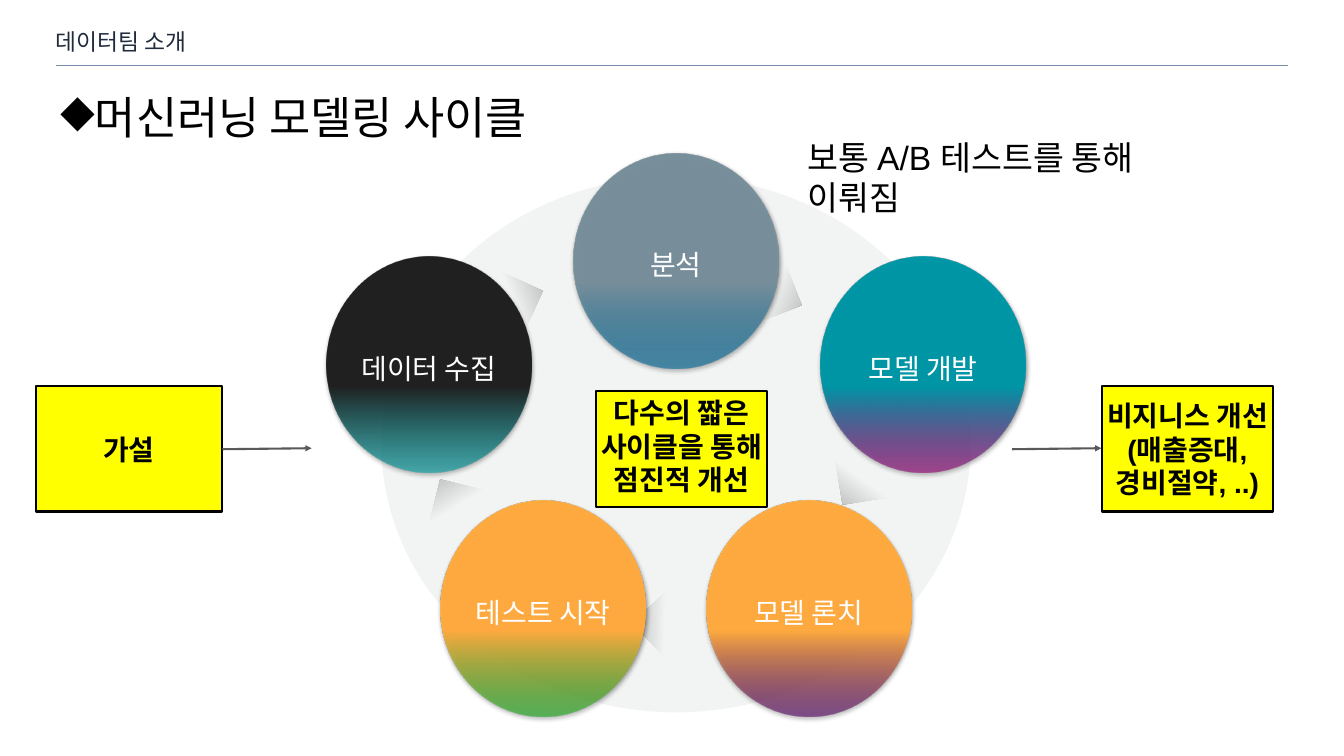
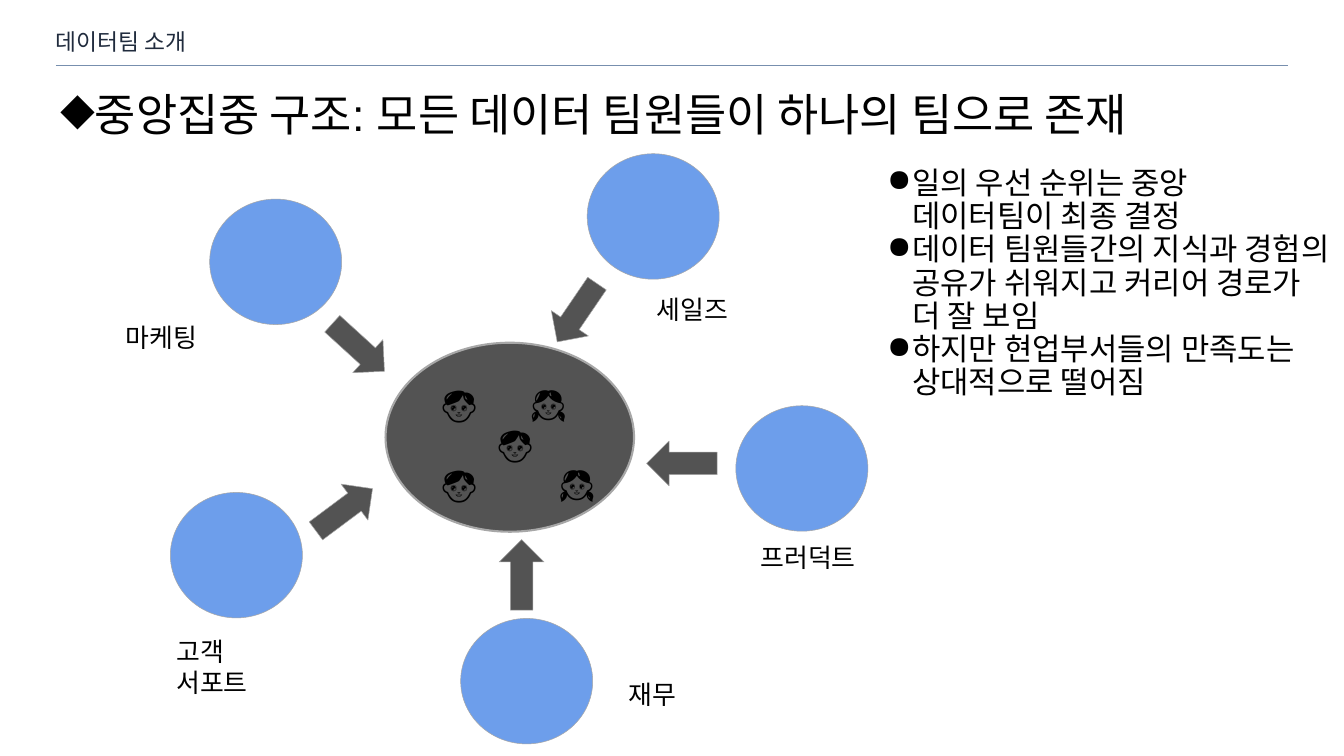
import pptx
import pptx.util
import pptx.dml.color
import pptx.enum.shapes
import pptx.enum.text
import pptx.oxml.ns
from lxml import etree

SHAPE = pptx.enum.shapes.MSO_SHAPE
ANCHOR = pptx.enum.text.MSO_ANCHOR
ALIGN = pptx.enum.text.PP_ALIGN
qn = pptx.oxml.ns.qn

# Grid of square cells: 80 columns by 45 rows
COLS, ROWS = 80, 45
CELL = pptx.util.Inches(1 / 3)
BLACK, WHITE, YELLOW, GREY = "000000", "FFFFFF", "FFFF00", "BFBFBF"
DARK, EDGE, BLUE = "535353", "A7A7A7", "6D9EEB"

prs = pptx.Presentation()
prs.slide_width, prs.slide_height = COLS * CELL, ROWS * CELL


def block(s, kind, at, fill=None, line=None, width=0.75, angle=0):
    """Add a text box, a line or a shape; fill is a hex string or gradient stops."""
    x, y, w, h = [round(v * CELL) for v in at]
    if kind == "text":
        return s.shapes.add_textbox(x, y, w, h)
    if kind == "line":
        sp = s.shapes.add_connector(
            pptx.enum.shapes.MSO_CONNECTOR.STRAIGHT, x, y, x + w, y + h)
    else:
        sp = s.shapes.add_shape(kind, x, y, w, h)
    spPr = sp._element.spPr
    if isinstance(fill, str):
        sp.fill.solid()
        sp.fill.fore_color.rgb = pptx.dml.color.RGBColor.from_string(fill)
    elif fill:
        sp.fill.gradient()
        sp.fill.gradient_angle = 360 - angle
        stops = next(spPr.iter(qn("a:gsLst")))
        stops.clear()
        for pos, colour, opacity in fill:
            gs = etree.SubElement(stops, qn("a:gs"), pos=str(pos * 1000))
            clr = etree.SubElement(gs, qn("a:srgbClr"), val=colour)
            etree.SubElement(clr, qn("a:alpha"), val=str(opacity * 1000))
    if line:
        sp.line.color.rgb = pptx.dml.color.RGBColor.from_string(line)
        sp.line.width = pptx.util.Pt(width)
    else:
        sp.line.fill.background()
    etree.SubElement(spPr, qn("a:effectLst"))
    return sp


def write(sp, text, size, colour=BLACK, font="Arial", bold=False, inset=0.3,
          anchor=ANCHOR.TOP, align=ALIGN.LEFT, spacing=None, bullet=None):
    tf = sp.text_frame
    tf.word_wrap = True
    tf.vertical_anchor = anchor
    tf.margin_left = tf.margin_right = round(inset * CELL)
    tf.margin_top = tf.margin_bottom = round(inset * CELL)
    tf.text = text
    for p in tf.paragraphs:
        p.alignment = align
        if spacing:
            p.line_spacing = spacing
        if bullet:
            pPr = p._p.get_or_add_pPr()
            pPr.set("marL", str(round(1.5 * CELL)))
            pPr.set("indent", str(round(-1.5 * CELL)))
            clr = etree.SubElement(pPr, qn("a:buClr"))
            etree.SubElement(clr, qn("a:srgbClr"), val=BLACK)
            etree.SubElement(pPr, qn("a:buChar"), char=bullet)
        for r in p.runs:
            r.font.name, r.font.size, r.font.bold = font, pptx.util.Pt(size), bold
            r.font.color.rgb = pptx.dml.color.RGBColor.from_string(colour)
    return tf


# Both slides: section name, rule and title
titles = [("머신러닝 모델링 사이클", 1.2),
          ("중앙집중 구조: 모든 데이터 팀원들이 하나의 팀으로 존재", 1.15)]
slides = []
for title, spacing in titles:
    s = prs.slides.add_slide(prs.slide_layouts[6])
    block(s, "line", (3.33, 3.87, 73.35, 0), line="778FAE")
    write(block(s, "text", (3.33, 2.04, 62.07, 1.29)), "데이터팀 소개", 32.5, "202B3D",
          inset=0, anchor=ANCHOR.MIDDLE, spacing=0.7)
    write(block(s, "text", (3.33, 4.41, 73.32, 38.22)), title, 64,
          inset=0.27, spacing=spacing, bullet="◆")
    slides.append(s)

# Slide 1: backdrop and direction wedges
s = slides[0]
block(s, SHAPE.OVAL, (22.7, 10.5, 35.07, 31.9), [(0, "263743", 5), (100, "263743", 5)])
wedge_stops = [(0, GREY, 100), (50, GREY, 0), (100, GREY, 0)]
wedges = [(29.25, 16.68, 204.6), (38.2, 35.82, 46.5), (44.67, 16.1, 248.6),
          (49.92, 27.2, 350.7), (25.85, 28.85, 104)]
for x, y, turn in wedges:
    sp = block(s, SHAPE.RIGHT_TRIANGLE, (x, y, 2.63, 2.63), wedge_stops, angle=315)
    sp.rotation = turn

# Slide 1: cycle steps, placed by their distance from the middle axis
AXIS, STEP_W, STEP_H = 40.24, 12.18, 12.81
steps = [("모델 론치", 7.9, 29.82, "FFAB40", "540768"),
         ("테스트 시작", -7.9, 29.82, "FFAB40", "17AA1C"),
         ("분석", 0, 9.12, "78909C", "006B9C"),
         ("데이터 수집", -14.71, 15.3, "212121", "02A1A5"),
         ("모델 개발", 14.71, 15.3, "0097A7", "960075")]
for name, dx, y, top, bottom in steps:
    sp = block(s, SHAPE.OVAL, (AXIS + dx - STEP_W / 2, y, STEP_W, STEP_H),
               [(0, top, 100), (60, top, 100), (100, bottom, 60)], angle=90)
    shadow = etree.SubElement(
        sp._element.spPr.find(qn("a:effectLst")), qn("a:outerShdw"),
        blurRad=str(pptx.util.Pt(7)), dist=str(pptx.util.Pt(4)), dir=str(71 * 60000))
    clr = etree.SubElement(shadow, qn("a:srgbClr"), val=BLACK)
    etree.SubElement(clr, qn("a:alpha"), val="45000")
    write(sp, name, 40, WHITE, "Open Sans", inset=0, anchor=ANCHOR.MIDDLE,
          align=ALIGN.CENTER, spacing=1.2)

# Slide 1: yellow boxes, arrows and note
boxes = [("다수의 짧은 사이클을 통해 점진적 개선", (35.46, 23.25, 10.2, 6.93), ANCHOR.TOP),
         ("가설", (2.13, 22.98, 11.1, 7.47), ANCHOR.MIDDLE),
         ("비지니스 개선 (매출증대, 경비절약, ..)", (65.58, 22.98, 10.2, 7.47), ANCHOR.MIDDLE)]
for text, at, anchor in boxes:
    write(block(s, SHAPE.RECTANGLE, at, YELLOW, BLACK, 3), text, 40, bold=True,
          anchor=anchor, align=ALIGN.CENTER)
for x in (13.23, 60.24):
    sp = block(s, "line", (x, 26.74, 5.32, -0.06), line="595959", width=3)
    etree.SubElement(sp._element.spPr.find(qn("a:ln")), qn("a:tailEnd"), type="triangle")
write(block(s, "text", (47.79, 7.83, 25.89, 3.03)), "보통 A/B 테스트를 통해 이뤄짐", 48)

# Slide 2: central team
s = slides[1]
block(s, SHAPE.OVAL, (22.95, 20.4, 14.79, 11.25), DARK, EDGE, 3)

# Slide 2: departments with circle, arrow (x, y, turn) and label (x, y, width)
departments = [("마케팅", (12.48, 11.85), (19.23, 19.35, 42.3), (6.69, 18.33, 10.92)),
               ("세일즈", (34.95, 9.15), (32.25, 17.28, 124.3), (38.28, 16.65, 10.92)),
               ("고객 서포트", (10.14, 29.31), (18.39, 29.01, 323.3), (9.69, 37.02, 8.88)),
               ("재무", (27.42, 36.81), (28.95, 32.88, 270), (36.63, 39.57, 8.88)),
               ("프러덕트", (43.8, 24.15), (38.49, 26.25, 180), (44.46, 31.44, 8.88))]
for name, circle, (ax, ay, turn), label in departments:
    block(s, SHAPE.OVAL, (*circle, 7.86, 7.47), BLUE, EDGE)
    sp = block(s, SHAPE.RIGHT_ARROW, (ax, ay, 4.2, 2.67), DARK, EDGE)
    sp.rotation = turn
    write(block(s, "text", (*label, 3.09)), name, 37, inset=0.81)

# Slide 2: team members, spread by one tab stop a row
tf = write(block(s, "text", (25.53, 21.96, 10.92, 7.47)), "👦\t👧\n\t👦\n👦\t👧", 48, inset=0.81)
for p, stop in zip(tf.paragraphs, (5.3, 3.33, 7)):
    tabs = etree.SubElement(p._p.get_or_add_pPr(), qn("a:tabLst"))
    etree.SubElement(tabs, qn("a:tab"), pos=str(round(stop * CELL)), algn="l")

# Slide 2: remarks
remarks = ["일의 우선 순위는 중앙 데이터팀이 최종 결정",
           "데이터 팀원들간의 지식과 경험의 공유가 쉬워지고 커리어 경로가 더 잘 보임",
           "하지만 현업부서들의 만족도는 상대적으로 떨어짐"]
tf = write(block(s, "text", (52.8, 9.99, 26.4, 19.05)), "\n".join(remarks), 44,
           inset=0, spacing=0.9, bullet="●")
tf.paragraphs[0].space_before = pptx.util.Pt(7)

prs.save("out.pptx")
